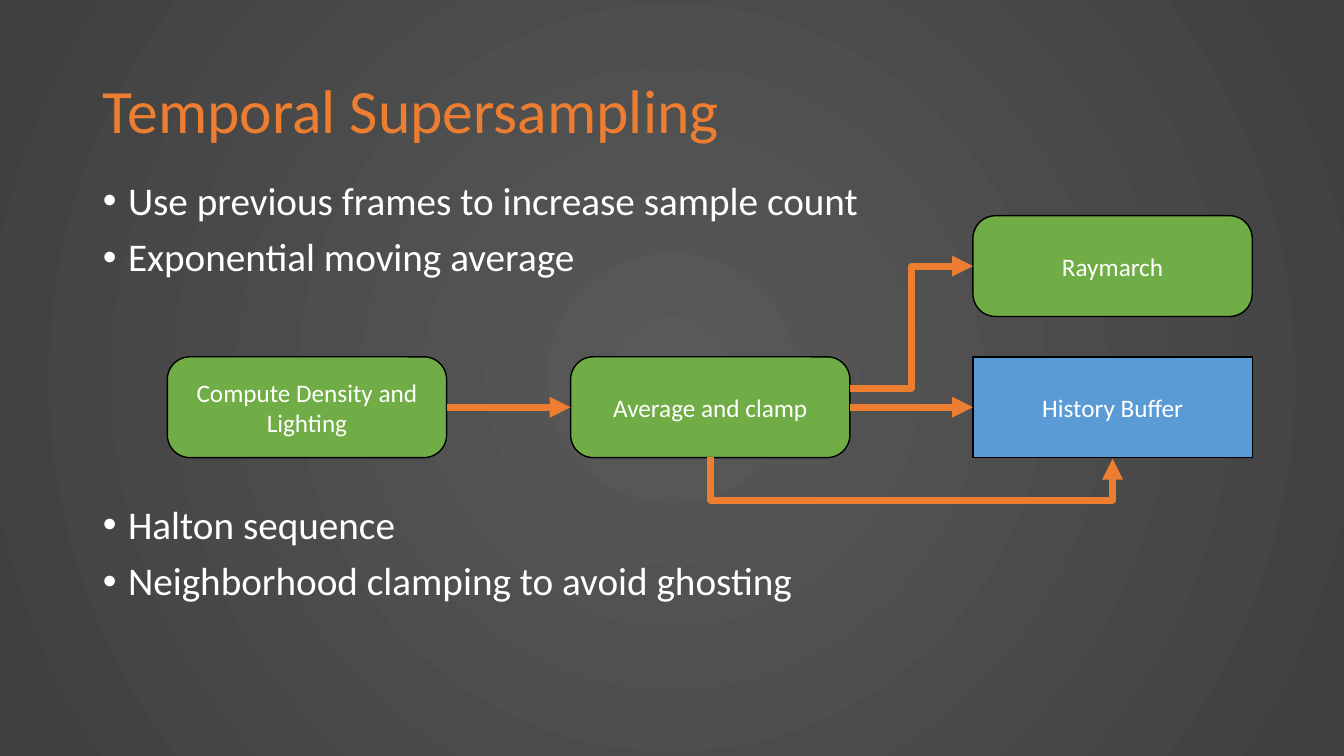
from dataclasses import dataclass

from lxml.etree import SubElement
from pptx import Presentation
from pptx.dml.color import RGBColor as RGB
from pptx.enum.shapes import MSO_CONNECTOR as LINK, MSO_SHAPE as SHAPE
from pptx.enum.text import MSO_ANCHOR as ANCHOR, MSO_AUTO_SIZE as FIT, PP_ALIGN as ALIGN
from pptx.oxml.ns import qn
from pptx.shapes.autoshape import Shape
from pptx.shapes.connector import Connector
from pptx.slide import Slide
from pptx.text.text import _Paragraph as Paragraph
from pptx.util import Inches, Pt


@dataclass(frozen=True)
class Theme:
    font: str = "Calibri"
    title_size: int = 44
    body_size: int = 28
    box_size: int = 18
    text: RGB = RGB(0xFF, 0xFF, 0xFF)
    accent: RGB = RGB(0xED, 0x7D, 0x31)
    step: RGB = RGB(0x70, 0xAD, 0x47)
    buffer: RGB = RGB(0x5B, 0x9B, 0xD5)
    outline: RGB = RGB(0, 0, 0)
    bg_centre: RGB = RGB(0x59, 0x59, 0x59)
    bg_edge: RGB = RGB(0x40, 0x40, 0x40)


@dataclass(frozen=True)
class Box:
    text: str
    left: float
    top: float
    fill: RGB
    rounding: float = 0.225


@dataclass(frozen=True)
class Bullet:
    text: str
    before: int


THEME = Theme()
BOX_W, BOX_H = 2.77, 1.0
COLUMNS = (1.66, 5.66, 9.65)
UPPER, LOWER = 2.14, 3.54
TOP, LEFT, BOTTOM, RIGHT = range(4)  # connection sites of a box

BOXES = (
    Box("Compute Density and Lighting", COLUMNS[0], LOWER, THEME.step),
    Box("Average and clamp", COLUMNS[1], LOWER, THEME.step),
    Box("Raymarch", COLUMNS[2], UPPER, THEME.step),
    Box("History Buffer", COLUMNS[2], LOWER, THEME.buffer, 0),
)
# The third bullet leaves room for the diagram
BULLETS = (
    Bullet("Use previous frames to increase sample count", 0),
    Bullet("Exponential moving average", 10),
    Bullet("Halton sequence", 161),
    Bullet("Neighborhood clamping to avoid ghosting", 10),
)


def add_text(p: Paragraph, text: str, size: int, color: RGB) -> None:
    r = p.add_run()
    r.text = text
    r.font.name, r.font.size, r.font.color.rgb = THEME.font, Pt(size), color


def place(s: Shape, left: float, top: float, width: float, height: float) -> None:
    s.left, s.top, s.width, s.height = map(Inches, (left, top, width, height))


def paint_background(s: Slide) -> None:
    fill = s.background.fill
    fill.gradient()
    stops = zip(fill.gradient_stops, (0, 0.97), (THEME.bg_centre, THEME.bg_edge))
    for stop, position, color in stops:
        stop.position, stop.color.rgb = position, color
    grad = next(s.element.iter(qn("a:gradFill")))
    grad.remove(grad.find(qn("a:lin")))
    path = SubElement(grad, qn("a:path"), path="circle")
    SubElement(path, qn("a:fillToRect"), l="50000", t="50000", r="50000", b="50000")


def add_bullet(p: Paragraph, bullet: Bullet) -> None:
    p.line_spacing, p.space_before = 0.9, Pt(bullet.before)
    pPr = p._p.get_or_add_pPr()
    pPr.set("marL", str(Inches(0.25)))
    pPr.set("indent", str(-Inches(0.25)))
    SubElement(pPr, qn("a:buFont"), typeface="Arial")
    SubElement(pPr, qn("a:buChar"), char="•")
    add_text(p, bullet.text, THEME.body_size, THEME.text)


def add_box(s: Slide, box: Box) -> Shape:
    sp = s.shapes.add_shape(SHAPE.ROUNDED_RECTANGLE, Inches(box.left),
                            Inches(box.top), Inches(BOX_W), Inches(BOX_H))
    sp.adjustments[0] = box.rounding
    sp.shadow.inherit = False
    sp.fill.solid()
    sp.fill.fore_color.rgb = box.fill
    sp.line.color.rgb, sp.line.width = THEME.outline, Pt(1)
    tf = sp.text_frame
    tf.word_wrap, tf.vertical_anchor = True, ANCHOR.MIDDLE
    p = tf.paragraphs[0]
    p.alignment = ALIGN.CENTER
    add_text(p, box.text, THEME.box_size, THEME.text)
    return sp


def add_arrow(s: Slide, kind: LINK, x: float = 0, y: float = 0) -> Connector:
    c = s.shapes.add_connector(kind, Inches(x), Inches(y), Inches(x), Inches(y))
    c.line.color.rgb, c.line.width = THEME.accent, Pt(5)
    SubElement(c.line._get_or_add_ln(), qn("a:tailEnd"), type="triangle")
    SubElement(c._element.spPr, qn("a:effectLst"))
    return c


def add_straight(s: Slide, start: Shape, end: Shape) -> None:
    c = add_arrow(s, LINK.STRAIGHT)
    c.begin_connect(start, RIGHT)
    c.end_connect(end, LEFT)


def add_feedback(s: Slide, start: Shape, end: Shape) -> None:
    """Loop under the boxes: an elbow turned by 90 degrees."""
    c = add_arrow(s, LINK.ELBOW)
    c.begin_connect(start, BOTTOM)
    c.end_connect(end, BOTTOM)
    span, thin, drop = COLUMNS[2] - COLUMNS[1], 0.02, 0.43
    mid_x = (COLUMNS[1] + COLUMNS[2] + BOX_W) / 2
    mid_y = LOWER + BOX_H
    place(c, mid_x - thin / 2, mid_y - span / 2, thin, span)
    c.rotation = 90
    spPr = c._element.spPr
    spPr.find(qn("a:xfrm")).attrib.pop("flipH", None)
    guides = next(spPr.iter(qn("a:avLst")))
    SubElement(guides, qn("a:gd"), name="adj1", fmla=f"val {round(drop / thin * 100000)}")


def main() -> None:
    prs = Presentation()
    prs.slide_width, prs.slide_height = Inches(13.33), Inches(7.5)
    s = prs.slides.add_slide(prs.slide_layouts[1])
    paint_background(s)

    # Title
    title = s.shapes.title
    place(title, 0.92, 0.4, 11.5, 1.45)
    tf = title.text_frame
    tf.auto_size, tf.vertical_anchor = FIT.NONE, ANCHOR.MIDDLE
    p = tf.paragraphs[0]
    p.alignment, p.line_spacing = ALIGN.LEFT, 0.9
    add_text(p, "Temporal Supersampling", THEME.title_size, THEME.accent)

    # Bullet list
    body = s.placeholders[1]
    place(body, 0.92, 1.75, 11.5, 5.01)
    tf = body.text_frame
    tf.auto_size = FIT.NONE
    for i, bullet in enumerate(BULLETS):
        add_bullet(tf.add_paragraph() if i else tf.paragraphs[0], bullet)

    # Diagram boxes
    compute, average, raymarch, history = [add_box(s, box) for box in BOXES]

    # Arrows
    add_straight(s, compute, average)
    add_feedback(s, history, average)
    add_straight(s, average, history)
    branch = add_arrow(s, LINK.ELBOW, COLUMNS[1] + BOX_W, 3.85)
    branch.end_connect(raymarch, LEFT)

    prs.save("out.pptx")


if __name__ == "__main__":
    main()
